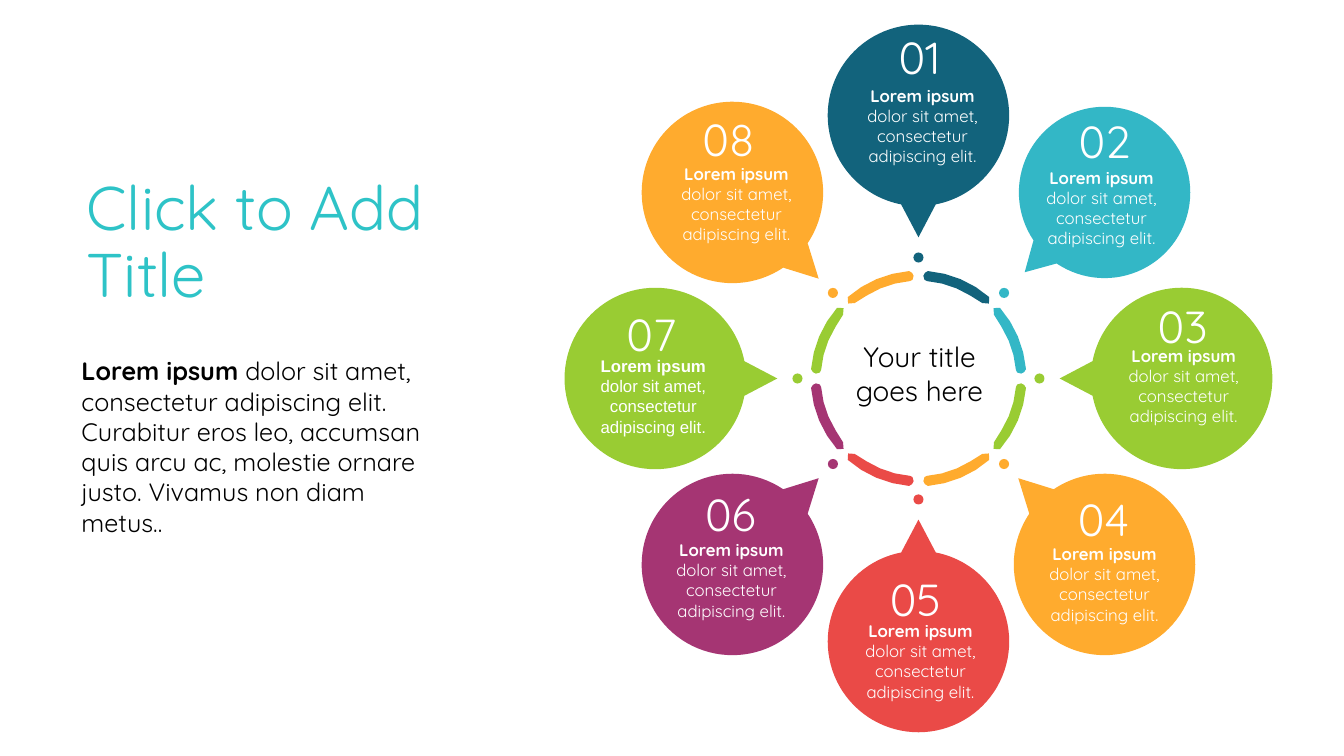
import math
from pptx import Presentation, util as u
from pptx.dml import color
from pptx.enum import shapes, text

FONT = "Quicksand"
WHITE, BLACK = "FFFFFF", "000000"
PALETTE = ["12637C", "33B7C6", "99CC33", "FFAB2E", "EA4A47", "A53573", "99CC33", "FFAB2E"]
BUBBLE_DISTANCE, DOT_DISTANCE, DOT_SIZE = 2.61, 1.2, 0.1
NUMBER_SIZE, CAPTION_SIZE = (1.48, 0.64), (1.51, 0.91)

NUMBER_OFFSETS = [(0.01, -0.58), (0, -0.51), (0.01, -0.52), (-0.01, -0.45),
                  (-0.03, -0.42), (-0.02, -0.5), (-0.04, -0.44), (-0.04, -0.53)]
CAPTION_OFFSETS = [(0.04, 0.11), (-0.03, 0.16), (0.02, 0.08), (0, 0.2),
                   (0.02, 0.2), (-0.01, 0.16), (-0.02, 0.18), (0.04, 0.12)]


def rgb(value):
    return color.RGBColor.from_string(value)


def polar(center, degrees, radius):
    angle = math.radians(degrees)
    return center[0] + radius * math.sin(angle), center[1] - radius * math.cos(angle)


def centered_box(center, offset, size):
    return (center[0] + offset[0] - size[0] / 2, center[1] + offset[1] - size[1] / 2, *size)


def paint(shape, fill):
    shape.fill.solid()
    shape.fill.fore_color.rgb = rgb(fill)
    shape.line.fill.background()
    shape.shadow.inherit = False


def add_round(slide, preset, center, diameter, fill):
    box = centered_box(center, (0, 0), (diameter, diameter))
    shape = slide.shapes.add_shape(preset, *map(u.Inches, box))
    paint(shape, fill)
    return shape


def write(frame, paragraphs, size, ink, align, font=FONT):
    frame.word_wrap = True
    frame.auto_size = text.MSO_AUTO_SIZE.NONE
    for index, runs in enumerate(paragraphs):
        paragraph = frame.paragraphs[0] if index == 0 else frame.add_paragraph()
        paragraph.alignment = align
        for words, bold in runs:
            run = paragraph.add_run()
            run.text = words
            run.font.name = font
            run.font.size = u.Pt(size)
            run.font.bold = bold
            run.font.color.rgb = rgb(ink)


def add_text(slide, box, paragraphs, size, ink, align=text.PP_ALIGN.CENTER, font=FONT):
    label = slide.shapes.add_textbox(*map(u.Inches, box))
    write(label.text_frame, paragraphs, size, ink, align, font)


def add_ring_segment(slide, center, index, fill):
    axis = 90 * ((index + 1) // 2)
    turn = 1 if index % 2 == 0 else -1
    outer = [(degrees, 1.07) for degrees in range(5, 42, 9)]
    cut_end = [(43.2, 1.02), (40.2, 0.98)]
    inner = [(degrees, 0.97) for degrees in range(32, 4, -9)]
    round_end = [(3.5, 0.98), (2.7, 1.02), (3.5, 1.05)]
    corners = [tuple(map(u.Inches, polar(center, axis + turn * degrees, radius)))
               for degrees, radius in outer + cut_end + inner + round_end]
    builder = slide.shapes.build_freeform(*corners[0], scale=1.0)
    builder.add_line_segments(corners[1:], close=True)
    paint(builder.convert_to_shape(), fill)


def add_bubble(slide, ring_center, index, fill):
    direction = 45 * index
    diameter, tip_distance = (1.7, 1.49) if index == 1 else (1.8, 1.4)
    center = polar(ring_center, direction, BUBBLE_DISTANCE)
    bubble = add_round(slide, shapes.MSO_SHAPE.OVAL_CALLOUT, center, diameter, fill)
    tip = polar((0, 0), direction + 180, (BUBBLE_DISTANCE - tip_distance) / diameter)
    bubble.adjustments[0], bubble.adjustments[1] = tip

    add_text(slide, centered_box(center, CAPTION_OFFSETS[index], CAPTION_SIZE),
             [[("Lorem ipsum ", True), ("dolor sit amet, consectetur adipiscing elit.", False)]],
             12, WHITE, font="Arial" if index == 6 else FONT)
    add_text(slide, centered_box(center, NUMBER_OFFSETS[index], NUMBER_SIZE),
             [[(f"{index + 1:02d}", False)]], 32, WHITE)


def add_wheel(slide, box):
    left, top, width, height = box
    center = left + width / 2, top + height / 2
    for index, fill in enumerate(PALETTE):
        dot_center = polar(center, 45 * index, DOT_DISTANCE)
        add_round(slide, shapes.MSO_SHAPE.OVAL, dot_center, DOT_SIZE, fill)
        add_ring_segment(slide, center, index, fill)
        add_bubble(slide, center, index, fill)
    add_text(slide, centered_box(center, (0.01, -0.05), (1.94, 0.77)),
             [[("Your title", False)], [("goes here", False)]], 20, BLACK)


def add_intro(slide, box):
    left, top, width, height = box
    title = slide.shapes.title
    title.left, title.top, title.width, title.height = map(
        u.Inches, (left + 0.05, top, width, 1.66))
    title.text_frame.vertical_anchor = text.MSO_ANCHOR.MIDDLE
    write(title.text_frame, [[("Click to Add Title", False)]], 44, "2EC3C7",
          text.PP_ALIGN.LEFT)
    title.text_frame.paragraphs[0].line_spacing = 0.9
    add_text(slide, (left, top + height - 1.92, 3.75, 1.92),
             [[("Lorem ipsum ", True),
               ("dolor sit amet, consectetur adipiscing elit. Curabitur eros leo, accumsan "
                "quis arcu ac, molestie ornare justo. Vivamus non diam metus..", False)]],
             18, BLACK, text.PP_ALIGN.LEFT)


deck = Presentation()
deck.slide_width, deck.slide_height = u.Inches(13.33), u.Inches(7.5)
wheel_slide = deck.slides.add_slide(deck.slide_layouts[5])
add_wheel(wheel_slide, (5.6, 0.24, 7.02, 7.03))
add_intro(wheel_slide, (0.71, 1.59, 4.61, 3.81))
deck.save("out.pptx")
